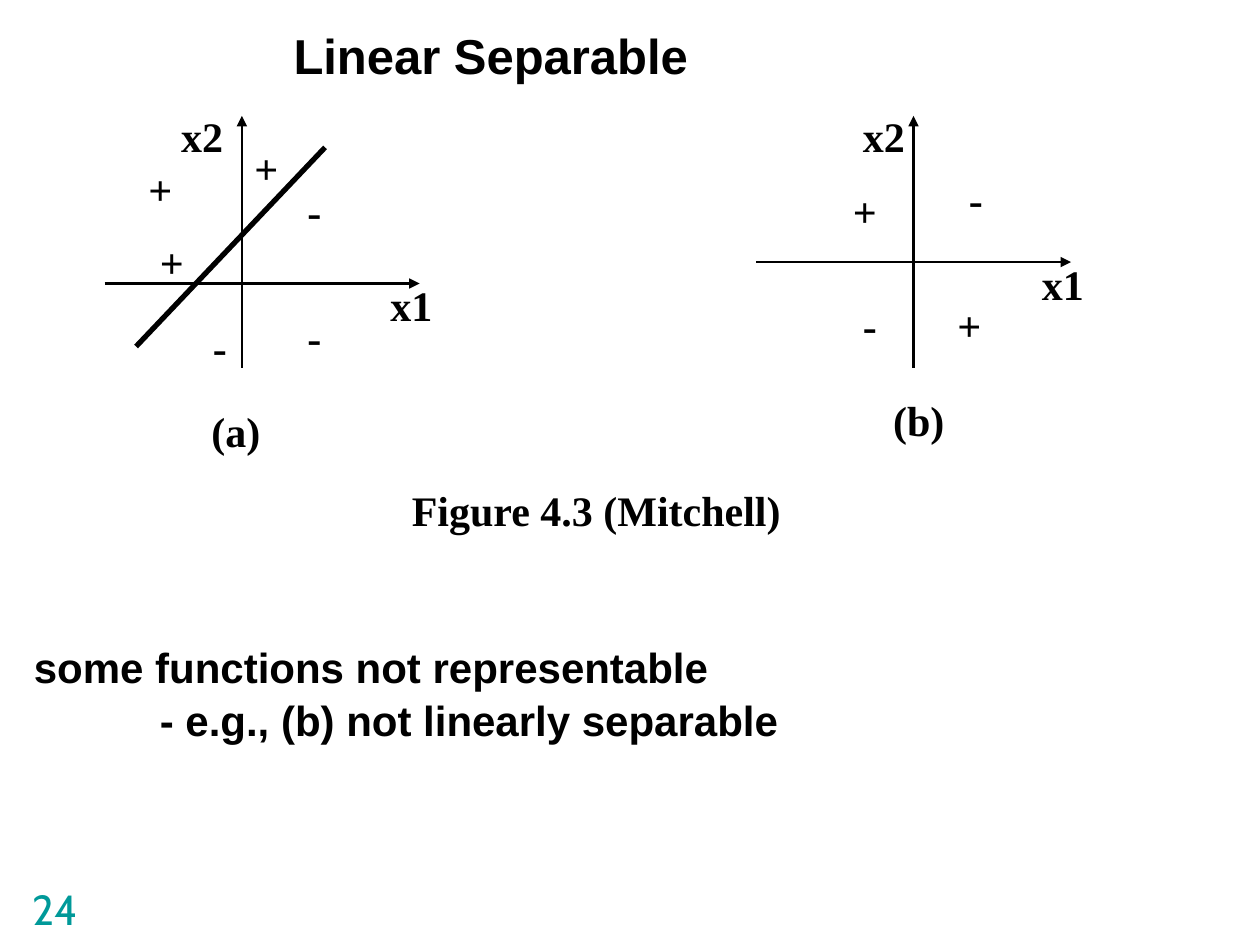
"""Build a slide on linearly separable and inseparable point sets."""
from dataclasses import dataclass
from lxml.etree import SubElement as Sub
from pptx import Presentation as Deck
from pptx.dml.color import RGBColor as RGB
from pptx.enum.shapes import MSO_CONNECTOR as Wire
from pptx.enum.text import MSO_ANCHOR as Anchor, PP_ALIGN as Align
from pptx.oxml.ns import qn
from pptx.util import Inches, Pt


@dataclass(frozen=True)
class Theme:
    ink: RGB = RGB(0, 0, 0)
    teal: RGB = RGB(0, 0x99, 0x99)
    sans: str = "Arial"
    serif: str = "Times New Roman"
    page: str = "Cabin"
    head: int = 28
    body: int = 24
    thin: float = 1.5
    thick: float = 3


THEME = Theme()
TITLE = ("Linear Separable", (2.23, 0.15, 3.33, 0.57))
NOTES = [("some functions not representable", 0),
         ("- e.g., (b) not linearly separable", 1)]
NOTE_BOX = (0.17, 4.21, 6.11, 2.1)
WIDTHS = {"+": 0.39, "-": 0.31, "x1": 0.53, "x2": 0.53, "(a)": 0.59, "(b)": 0.61}
AXIS_TOP, AXIS_END = 0.92, 2.92
AXIS_SPAN = 2.5
PLOTS = [
    {"x": 1.92, "y": 2.25, "left": 0.83, "split": (2.58, 1.17, 1.08, 2.75),
     "marks": [("+", 1.92, 1.08), ("+", 1.08, 1.25), ("+", 1.17, 1.83),
               ("-", 1.59, 2.5), ("-", 2.34, 1.42), ("-", 2.34, 2.42),
               ("x1", 3, 2.17), ("x2", 1.34, 0.83), ("(a)", 1.58, 3.17)]},
    {"x": 7.25, "y": 2.08, "left": 6, "split": None,
     "marks": [("+", 6.67, 1.42), ("-", 6.75, 2.33), ("+", 7.5, 2.33),
               ("-", 7.59, 1.33), ("x1", 8.17, 2), ("x2", 6.75, 0.83),
               ("(b)", 6.99, 3.08)]},
]
CAPTION = ("Figure 4.3 (Mitchell)", (3.17, 3.8, 3.13, 0.5))
NUMBER = ("24", (0.16, 6.96, 2.08, 0.5))


def place(shape, box):
    shape.left, shape.top, shape.width, shape.height = map(Inches, box)


def write(para, text, font=THEME.serif, size=THEME.body, color=THEME.ink, bold=True):
    para.alignment = Align.LEFT
    run = para.add_run()
    run.text = text
    face = run.font
    face.name, face.size, face.bold = font, Pt(size), bold
    face.color.rgb = color


def label(slide, text, box, **style):
    frame = slide.shapes.add_textbox(*map(Inches, box)).text_frame
    frame.word_wrap = False
    write(frame.paragraphs[0], text, **style)
    return frame


def draw(slide, ends, width, arrow=False):
    line = slide.shapes.add_connector(Wire.STRAIGHT, *map(Inches, ends))
    line.line.color.rgb = THEME.ink
    line.line.width = Pt(width)
    if arrow:
        Sub(line.line._get_or_add_ln(), qn("a:tailEnd"), type="triangle")
    Sub(line._element.spPr, qn("a:effectLst"))


def plot(slide, part):
    x, y, left = part["x"], part["y"], part["left"]
    draw(slide, (x, AXIS_END, x, AXIS_TOP), THEME.thin, True)
    draw(slide, (left, y, left + AXIS_SPAN, y), THEME.thin, True)
    if part["split"]:
        draw(slide, part["split"], THEME.thick)
    for text, left, top in part["marks"]:
        label(slide, text, (left, top, WIDTHS[text], 0.5))


def main():
    deck = Deck()
    deck.slide_width, deck.slide_height = Inches(10), Inches(7.5)
    slide = deck.slides.add_slide(deck.slide_layouts[5])

    text, box = TITLE
    title = slide.shapes.title
    place(title, box)
    frame = title.text_frame
    frame.word_wrap = False
    frame.vertical_anchor = Anchor.TOP
    write(frame.paragraphs[0], text, font=THEME.sans, size=THEME.head)

    for part in PLOTS:
        plot(slide, part)
    label(slide, *CAPTION)

    frame = slide.shapes.add_textbox(*map(Inches, NOTE_BOX)).text_frame
    frame.word_wrap = False
    frame.margin_top = Inches(0.88)
    for row, (text, indent) in enumerate(NOTES):
        para = frame.add_paragraph() if row else frame.paragraphs[0]
        para.space_before = Pt(1.5 * row)
        para._p.get_or_add_pPr().set("marL", str(Inches(indent)))
        write(para, text, font=THEME.sans)

    frame = label(slide, *NUMBER, font=THEME.page, color=THEME.teal, bold=False)
    frame.word_wrap = True
    frame.vertical_anchor = Anchor.BOTTOM
    deck.save("out.pptx")


if __name__ == "__main__":
    main()
